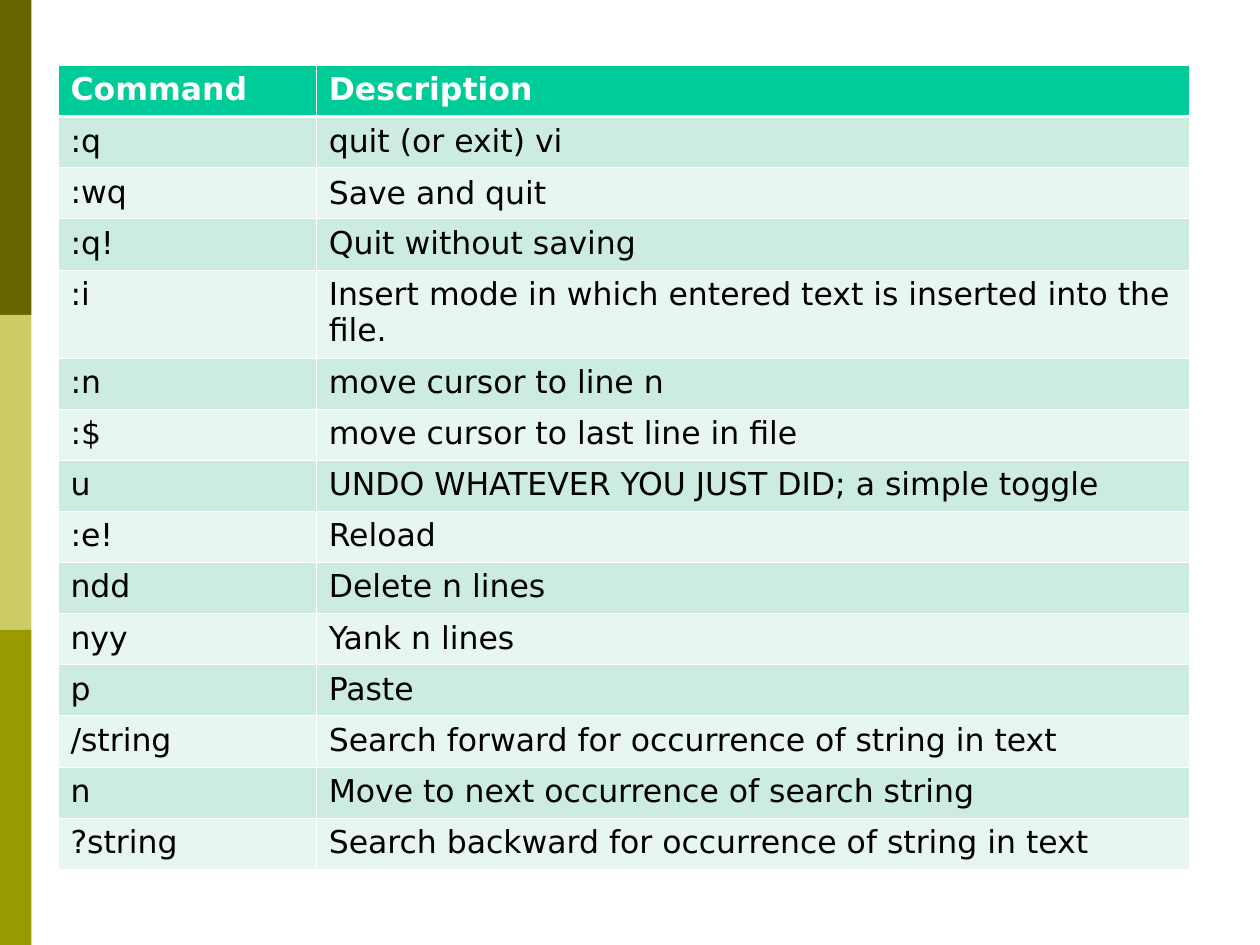
from dataclasses import dataclass

import pptx
import pptx.dml.color
import pptx.enum.shapes
import pptx.enum.text
import pptx.oxml
import pptx.oxml.ns
import pptx.util

Inches = pptx.util.Inches
MIDDLE = pptx.enum.text.MSO_ANCHOR.MIDDLE


@dataclass(frozen=True)
class Theme:
    font: str = "DejaVu Sans"
    size: float = 18
    text: str = "000000"
    header_text: str = "FFFFFF"
    header_fill: str = "00CC99"
    bands: tuple[str, str] = ("CBECDE", "E7F6EF")
    rule: str = "FFFFFF"
    thin: float = 0.45
    thick: float = 1.47
    side_bars: tuple[str, ...] = ("666600", "CCCC66", "999900")


@dataclass(frozen=True)
class Command:
    keys: str
    description: str
    lines: int = 1
    middle: bool = False


THEME = Theme()
SLIDE_W, SLIDE_H = 10, 7.5
BAR_W = 0.25
TABLE_LEFT, TABLE_TOP, TABLE_H = 0.46, 0.52, 6.38
COLUMNS = (2.05, 6.93)
TALL_ROW = 0.7

COMMANDS = [
    Command(":q", "quit (or exit) vi"),
    Command(":wq", "Save and quit", middle=True),
    Command(":q!", "Quit without saving"),
    Command(":i", "Insert mode in which entered text is inserted into the file.", lines=2),
    Command(":n", "move cursor to line n"),
    Command(":$", "move cursor to last line in file"),
    Command("u", "UNDO WHATEVER YOU JUST DID; a simple toggle"),
    Command(":e!", "Reload"),
    Command("ndd", "Delete n lines"),
    Command("nyy", "Yank n lines"),
    Command("p", "Paste"),
    Command("/string", "Search forward for occurrence of string in text"),
    Command("n", "Move to next occurrence of search string"),
    Command("?string", "Search backward for occurrence of string in text"),
]


def rgb(color: str) -> pptx.dml.color.RGBColor:
    return pptx.dml.color.RGBColor.from_string(color)


def write(tf, text: str, *, color: str = THEME.text, bold: bool = False) -> None:
    r = tf.paragraphs[0].add_run()
    r.text = text
    r.font.name = THEME.font
    r.font.size = pptx.util.Pt(THEME.size)
    r.font.bold = bold
    r.font.color.rgb = rgb(color)


def set_borders(cell, **widths: float) -> None:
    """Rule the four sides; widths by side (L, R, T, B) override the thin line."""
    tc_pr = cell._tc.get_or_add_tcPr()
    for i, side in enumerate("LRTB"):
        width = int(pptx.util.Pt(widths.get(side, THEME.thin)))
        line = pptx.oxml.parse_xml(
            f'<a:ln{side} {pptx.oxml.ns.nsdecls("a")} w="{width}">'
            f'<a:solidFill><a:srgbClr val="{THEME.rule}"/></a:solidFill></a:ln{side}>'
        )
        tc_pr.insert(i, line)


def add_side_bars(s) -> None:
    height = SLIDE_H / len(THEME.side_bars)
    for i, color in enumerate(THEME.side_bars):
        sp = s.shapes.add_shape(
            pptx.enum.shapes.MSO_SHAPE.RECTANGLE,
            Inches(0), Inches(i * height), Inches(BAR_W), Inches(height),
        )
        sp.shadow.inherit = False
        sp.fill.solid()
        sp.fill.fore_color.rgb = rgb(color)
        sp.line.fill.background()


def add_command_table(s, commands: list[Command]) -> None:
    rows = [Command("Command", "Description"), *commands]
    tall = sum(row.lines > 1 for row in rows)
    row_h = (TABLE_H - tall * TALL_ROW) / (len(rows) - tall)
    table = s.shapes.add_table(
        len(rows), len(COLUMNS), Inches(TABLE_LEFT), Inches(TABLE_TOP),
        Inches(sum(COLUMNS)), Inches(TABLE_H),
    ).table
    for column, width in zip(table.columns, COLUMNS):
        column.width = Inches(width)

    for i, row in enumerate(rows):
        header = i == 0
        table.rows[i].height = Inches(TALL_ROW if row.lines > 1 else row_h)
        fill = THEME.header_fill if header else THEME.bands[(i - 1) % 2]
        heavy = {0: {"B": THEME.thick}, 1: {"T": THEME.thick}}.get(i, {})
        for j, text in enumerate((row.keys, row.description)):
            cell = table.cell(i, j)
            cell.fill.solid()
            cell.fill.fore_color.rgb = rgb(fill)
            set_borders(cell, **heavy)
            write(cell.text_frame, text, bold=header,
                  color=THEME.header_text if header else THEME.text)
        if row.middle:
            table.cell(i, 1).vertical_anchor = MIDDLE


def main() -> None:
    prs = pptx.Presentation()
    prs.slide_width, prs.slide_height = Inches(SLIDE_W), Inches(SLIDE_H)
    s = prs.slides.add_slide(prs.slide_layouts[6])
    add_side_bars(s)
    add_command_table(s, COMMANDS)
    prs.save("out.pptx")


if __name__ == "__main__":
    main()
